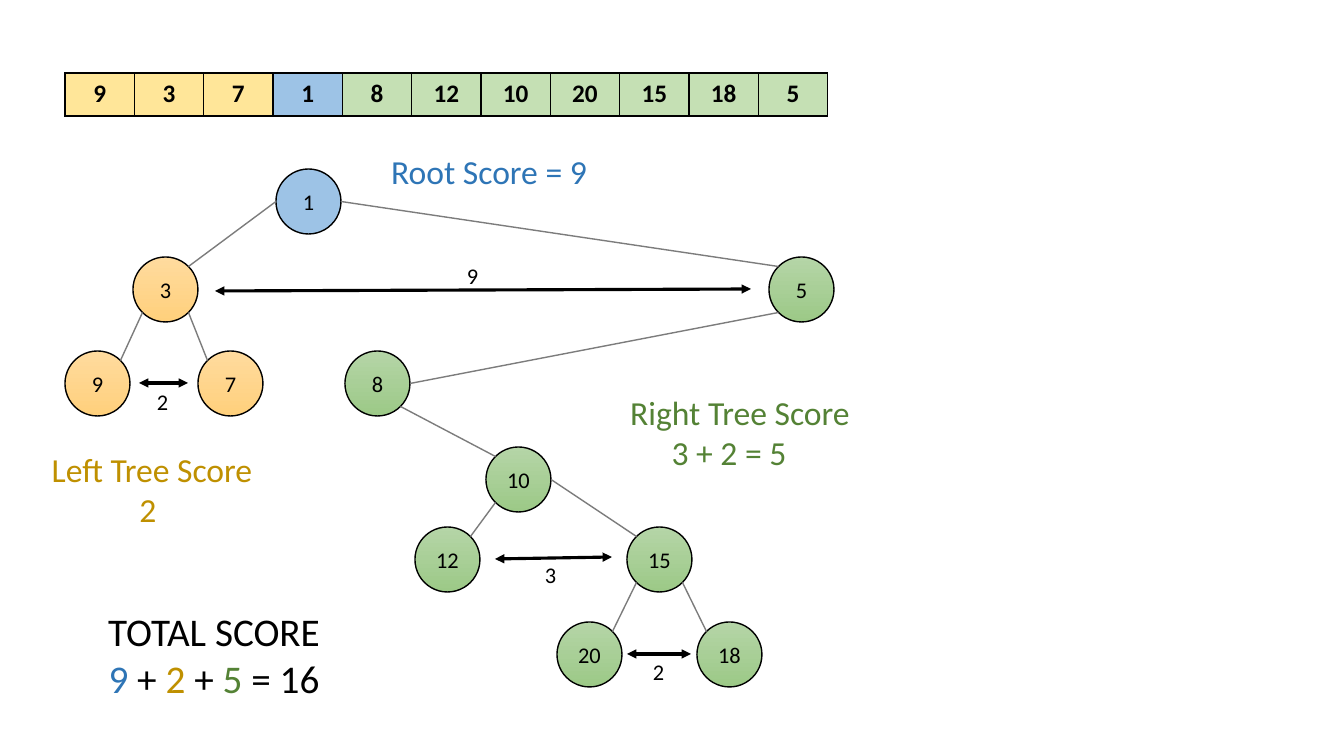
"""Build a slide that scores a Cartesian tree made from an array."""
from dataclasses import dataclass
from math import cos, radians, sin

from lxml.etree import SubElement
from pptx import Presentation
from pptx.dml.color import RGBColor
from pptx.enum.shapes import MSO_CONNECTOR, MSO_SHAPE
from pptx.enum.text import MSO_ANCHOR, MSO_AUTO_SIZE, PP_ALIGN
from pptx.oxml.ns import qn
from pptx.util import Emu, Pt

SCALE = 914400 / 100.8
SIZE = 65
INSET = 10
HUES = {
    "black": "000000", "gray": "7C7C7C",
    "blue": "2E75B6", "gold": "BF9000", "green": "548235",
    "root": "9DC3E6", "left": "FFE699", "right": "C5E0B4",
}
BLENDS = {"left": ("FFDB9E", "FFD07C"), "right": ("B5D5A7", "9CC987")}
SITES = {"e": 0, "se": 45, "sw": 135, "w": 180, "nw": 225, "ne": 315}
LEFT, MID, RIGHT = PP_ALIGN.LEFT, PP_ALIGN.CENTER, PP_ALIGN.RIGHT


@dataclass(frozen=True)
class Node:
    key: int
    x: int
    y: int
    side: str


@dataclass(frozen=True)
class Edge:
    top: int
    exit: str
    low: int
    entry: str


@dataclass(frozen=True)
class Span:
    x1: int
    y1: int
    x2: int
    y2: int


@dataclass(frozen=True)
class Label:
    x: int
    y: int
    wide: int
    high: int
    size: int
    lines: tuple
    align: PP_ALIGN = LEFT
    pad: int = 0
    lead: int = 0


ROW = [(9, "left"), (3, "left"), (7, "left"), (1, "root")]
ROW += [(key, "right") for key in (8, 12, 10, 20, 15, 18, 5)]
NODES = [
    Node(1, 276, 169, "root"), Node(5, 769, 257, "right"),
    Node(8, 345, 351, "right"), Node(10, 486, 447, "right"),
    Node(3, 133, 257, "left"), Node(7, 198, 351, "left"),
    Node(9, 65, 351, "left"), Node(12, 415, 527, "right"),
    Node(20, 557, 622, "right"), Node(15, 627, 527, "right"),
    Node(18, 697, 622, "right"),
]
EDGES = [
    Edge(1, "w", 3, "ne"), Edge(3, "sw", 9, "ne"), Edge(3, "se", 7, "nw"),
    Edge(1, "e", 5, "nw"), Edge(5, "sw", 8, "e"), Edge(8, "se", 10, "nw"),
    Edge(10, "sw", 12, "ne"), Edge(10, "e", 15, "nw"),
    Edge(15, "sw", 20, "ne"), Edge(15, "se", 18, "nw"),
]
SPANS = [
    Span(215, 291, 751, 289), Span(139, 383, 188, 383),
    Span(495, 559, 612, 557), Span(627, 654, 691, 654),
]
SUM = (("9", "blue"), (" + ", "black"), ("2", "gold"), (" + ", "black"),
       ("5", "green"), (" = 16", "black"))
LABELS = [
    Label(457, 257, 32, 37, 16, ((("9", "black"),),)),
    Label(147, 383, 36, 37, 16, ((("2", "black"),),)),
    Label(535, 556, 32, 37, 16, ((("3", "black"),),)),
    Label(643, 653, 32, 37, 16, ((("2", "black"),),)),
    Label(336, 146, 269, 50, 24, ((("Root Score = 9", "blue"),),), RIGHT, 8),
    Label(-12, 444, 328, 92, 24,
          ((("Left Tree Score", "gold"),), (("2", "gold"),)), MID, 8, 8),
    Label(530, 387, 428, 92, 24,
          ((("Right Tree Score", "green"),), (("3 + 2 = 5", "green"),)),
          MID, 30, 22),
    Label(50, 602, 328, 105, 28, ((("TOTAL SCORE", "black"),), SUM), MID),
]


def px(count: float) -> Emu:
    return Emu(round(count * SCALE))


def tint(name: str) -> RGBColor:
    return RGBColor.from_string(HUES[name])


def apply(item, form: dict) -> None:
    for name, value in form.items():
        setattr(item, name, value)


def write(para, text: str, hue: str, size: int, bold: bool = False) -> None:
    run = para.add_run()
    run.text = text
    apply(run.font, {"name": "Calibri", "size": Pt(size), "bold": bold})
    run.font.color.rgb = tint(hue)


def draw_row(slide) -> None:
    table = slide.shapes.add_table(
        1, len(ROW), px(65), px(73), px(763), px(43)).table
    apply(table, {"first_row": False, "horz_banding": False})
    for cell, (key, side) in zip(table.rows[0].cells, ROW):
        para = cell.text_frame.paragraphs[0]
        para.alignment = MID
        write(para, str(key), "black", 18, True)
        props = cell._tc.get_or_add_tcPr()
        for edge in ("lnL", "lnR", "lnT", "lnB"):
            line = SubElement(props, qn(f"a:{edge}"), w=str(Pt(1)))
            paint = SubElement(line, qn("a:solidFill"))
            SubElement(paint, qn("a:srgbClr"), val=HUES["black"])
        cell.fill.solid()
        cell.fill.fore_color.rgb = tint(side)


def draw_node(slide, node: Node) -> None:
    disc = slide.shapes.add_shape(
        MSO_SHAPE.OVAL, px(node.x), px(node.y), px(SIZE), px(SIZE))
    disc.shadow.inherit = False
    if node.side in BLENDS:
        disc.fill.gradient()
        disc.fill.gradient_angle = 270
        for stop, shade in zip(disc.fill.gradient_stops, BLENDS[node.side]):
            stop.color.rgb = RGBColor.from_string(shade)
    else:
        disc.fill.solid()
        disc.fill.fore_color.rgb = tint(node.side)
    disc.line.color.rgb = tint("black")
    disc.line.width = Pt(1)
    frame = disc.text_frame
    apply(frame, {"word_wrap": False, "vertical_anchor": MSO_ANCHOR.MIDDLE})
    frame.paragraphs[0].alignment = MID
    write(frame.paragraphs[0], str(node.key), "black", 16)


def draw_line(slide, ends: tuple, hue: str, width: float, heads=()) -> None:
    link = slide.shapes.add_connector(MSO_CONNECTOR.STRAIGHT, *map(px, ends))
    link.line.color.rgb = tint(hue)
    link.line.width = Pt(width)
    for head in heads:
        SubElement(link.line._get_or_add_ln(), qn(f"a:{head}"), type="triangle")
    SubElement(link._element.spPr, qn("a:effectLst"))


def rim(node: Node, site: str) -> tuple[float, float]:
    half, turn = SIZE / 2, radians(SITES[site])
    return node.x + half * (1 + cos(turn)), node.y + half * (1 + sin(turn))


def draw_label(slide, label: Label) -> None:
    box = slide.shapes.add_textbox(
        *map(px, (label.x, label.y, label.wide, label.high)))
    frame = box.text_frame
    apply(frame, {"word_wrap": True, "margin_right": px(INSET + label.pad),
                  "auto_size": MSO_AUTO_SIZE.SHAPE_TO_FIT_TEXT})
    for rank, line in enumerate(label.lines):
        para = frame.add_paragraph() if rank else frame.paragraphs[0]
        para.alignment = label.align
        if label.lead and not rank:
            para._p.get_or_add_pPr().set("marL", str(px(label.lead)))
        for text, hue in line:
            write(para, text, hue, label.size)


def main() -> None:
    deck = Presentation()
    apply(deck, {"slide_width": px(1344), "slide_height": px(756)})
    slide = deck.slides.add_slide(deck.slide_layouts[6])
    draw_row(slide)
    tree = {node.key: node for node in NODES}
    for node in NODES:
        draw_node(slide, node)
    for edge in EDGES:
        ends = rim(tree[edge.top], edge.exit) + rim(tree[edge.low], edge.entry)
        draw_line(slide, ends, "gray", 1)
    for span in SPANS:
        ends = (span.x1, span.y1, span.x2, span.y2)
        draw_line(slide, ends, "black", 2.25, ("headEnd", "tailEnd"))
    for label in LABELS:
        draw_label(slide, label)
    deck.save("out.pptx")


main()
